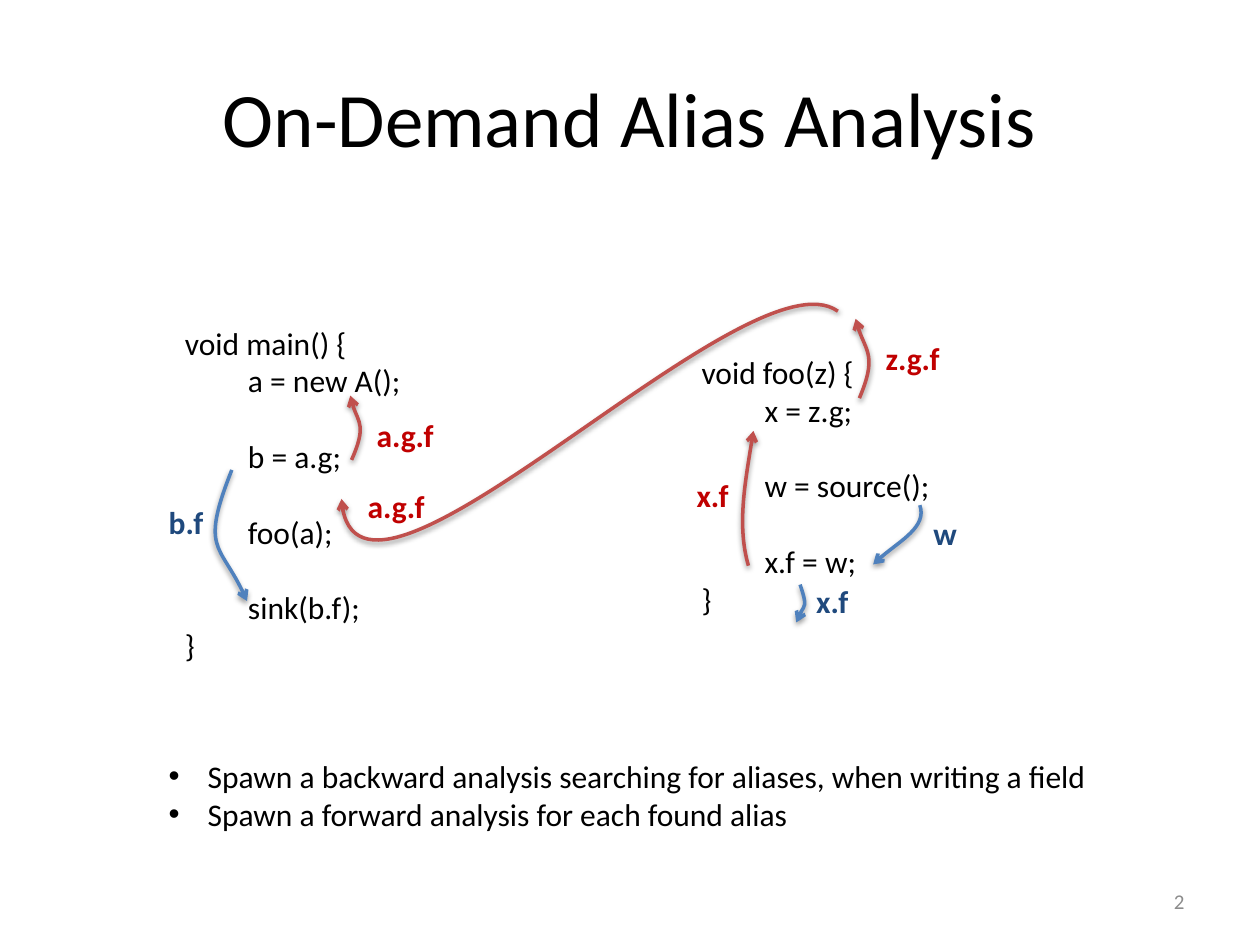
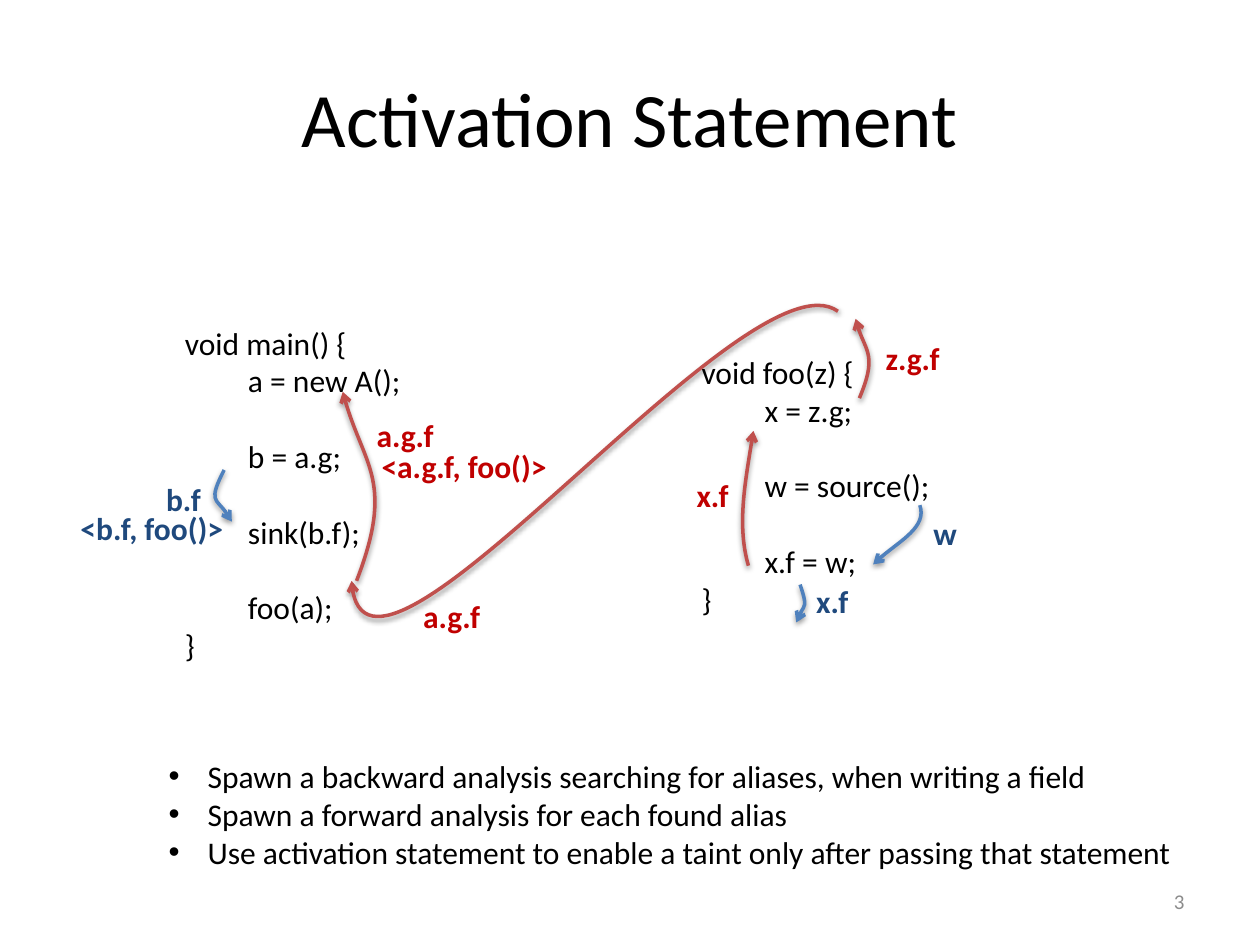
from dataclasses import dataclass
from math import cos, radians, sin

from lxml.etree import SubElement
from pptx import Presentation
from pptx.dml.color import RGBColor
from pptx.enum.text import MSO_ANCHOR, MSO_AUTO_SIZE, PP_ALIGN
from pptx.oxml.ns import qn
from pptx.util import Inches, Pt


@dataclass(frozen=True)
class Theme:
    font: str = "Calibri"
    ink: str = "000000"
    muted: str = "8C8C8C"
    backward_line: str = "C0504D"
    backward_text: str = "C00000"
    forward_line: str = "4F81BD"
    forward_text: str = "1F497D"
    shadow: str = "000000"
    title_size: int = 44
    body_size: int = 18
    number_size: int = 12
    line_height: float = 21.6
    curve_width: int = 2


THEME = Theme()
LINE_COLORS = {"backward": THEME.backward_line, "forward": THEME.forward_line}
TEXT_COLORS = {"backward": THEME.backward_text, "forward": THEME.forward_text}
TURNS = {"backward": 146.3, "forward": 0}

FOO_CODE = ["void foo(z) {", "x = z.g;", "w = source();", "x.f = w;", "}"]
MAIN_BOX = (1.37, 2.52, 1.93, 2.83)
FOO_BOX = (5.47, 2.75, 2.03, 2.22)

SHARED_CURVES = [
    ("forward", [(7.3, 4.01), (7.36, 4.18), (7.08, 4.33), (6.93, 4.48)]),
    ("forward", [(6.35, 4.64), (6.41, 4.82), (6.37, 4.81), (6.32, 4.94)]),
    ("backward", [(5.94, 4.49), (5.85, 4.18), (5.92, 3.79), (5.98, 3.42)]),
    ("backward", [(6.82, 3.16), (6.96, 2.83), (6.85, 2.77), (6.79, 2.53)]),
]
SHARED_LABELS = [
    ("forward", "w", 7.31, 4.03, 0.39),
    ("forward", "x.f", 6.38, 4.57, 0.46),
    ("backward", "x.f", 5.43, 3.73, 0.46),
    ("backward", "z.g.f", 6.93, 2.64, 0.63),
    ("backward", "a.g.f", 2.89, 3.25, 0.66),
]
SHARED_POINTS = [
    "Spawn a backward analysis searching for aliases, when writing a field",
    "Spawn a forward analysis for each found alias",
]

SLIDES = [
    {
        "title": "On-Demand Alias Analysis",
        "number": "2",
        "main": ["void main() {", "a = new A();", "b = a.g;", "foo(a);", "sink(b.f);", "}"],
        "curves": [
            ("backward", [(6.65, 2.47), (5.94, 1.96), (2.8, 5.32), (2.71, 3.96)]),
            ("backward", [(2.79, 3.65), (2.91, 3.38), (2.82, 3.33), (2.78, 3.14)]),
            ("forward", [(1.84, 3.73), (1.59, 4.36), (1.76, 4.31), (1.96, 4.77)]),
        ],
        "labels": [
            ("backward", "a.g.f", 2.82, 3.82, 0.66),
            ("forward", "b.f", 1.24, 3.94, 0.48),
        ],
        "points": [],
        "points_box": (1.24, 5.96, 7.57, 0.71),
    },
    {
        "title": "Activation Statement",
        "number": "3",
        "main": ["void main() {", "a = new A();", "b = a.g;", "sink(b.f);", "foo(a);", "}"],
        "curves": [
            ("backward", [(6.65, 2.47), (5.94, 1.96), (2.87, 5.97), (2.79, 4.61)]),
            ("backward", [(2.83, 4.61), (3.13, 3.83), (2.87, 3.69), (2.72, 3.11)]),
            ("forward", [(1.78, 3.73), (1.65, 3.98), (1.74, 3.96), (1.84, 4.14)]),
        ],
        "labels": [
            ("backward", "a.g.f", 3.26, 4.69, 0.66),
            ("forward", "b.f", 1.22, 3.76, 0.48),
            ("backward", "<a.g.f, foo()>", 2.93, 3.5, 1.53),
            ("forward", "<b.f, foo()>", 0.54, 3.99, 1.35),
        ],
        "points": ["Use activation statement to enable a taint only after passing that statement"],
        "points_box": (1.24, 5.96, 8.2, 1.01),
    },
]


def style_text(frame, size, color, bold=False):
    for para in frame.paragraphs:
        for span in para.runs:
            span.font.name = THEME.font
            span.font.size = Pt(size)
            span.font.bold = bold
            span.font.color.rgb = RGBColor.from_string(color)


def add_text(page, lines, bounds, color=THEME.ink, size=THEME.body_size, bold=False, grow=True):
    box = page.shapes.add_textbox(*map(Inches, bounds))
    frame = box.text_frame
    frame.text = "\n".join(lines)
    frame.word_wrap = not grow
    frame.auto_size = MSO_AUTO_SIZE.SHAPE_TO_FIT_TEXT if grow else MSO_AUTO_SIZE.NONE
    style_text(frame, size, color, bold)
    return frame


def set_indent(para, left, first=0):
    properties = para._p.get_or_add_pPr()
    properties.set("marL", str(Inches(left)))
    properties.set("indent", str(Inches(first)))
    return properties


def add_title(page, text):
    title = page.shapes.title
    title.left, title.top, title.width, title.height = map(Inches, (0.5, 0.3, 9, 1.25))
    frame = title.text_frame
    frame.text = text
    frame.vertical_anchor = MSO_ANCHOR.MIDDLE
    frame.paragraphs[0].alignment = PP_ALIGN.CENTER
    style_text(frame, THEME.title_size, THEME.ink)


def add_number(page, number):
    frame = add_text(page, [number], (7.17, 6.95, 2.33, 0.4), THEME.muted, THEME.number_size, grow=False)
    frame.vertical_anchor = MSO_ANCHOR.MIDDLE
    frame.paragraphs[0].alignment = PP_ALIGN.RIGHT


def add_code(page, lines, bounds):
    statements = add_text(page, lines, bounds).paragraphs[1:-1]
    for index, para in enumerate(statements):
        set_indent(para, 0.5)
        if index:
            para.space_before = Pt(THEME.line_height)


def add_points(page, lines, bounds):
    for para in add_text(page, lines, bounds).paragraphs:
        properties = set_indent(para, 0.31, -0.31)
        SubElement(properties, qn("a:buFont"), typeface="Arial")
        SubElement(properties, qn("a:buChar"), char="•")


def rotate(point, degrees):
    x, y = point
    angle = radians(degrees)
    return x * cos(angle) - y * sin(angle), x * sin(angle) + y * cos(angle)


def curve_point(controls, t):
    weights = ((1 - t) ** 3, 3 * t * (1 - t) ** 2, 3 * t * t * (1 - t), t ** 3)
    return tuple(
        Inches(sum(weight * value for weight, value in zip(weights, axis)))
        for axis in zip(*controls)
    )


def add_curve(page, direction, controls, steps=24):
    turn = TURNS[direction]
    controls = [rotate(point, -turn) for point in controls]
    samples = [curve_point(controls, step / steps) for step in range(steps + 1)]
    builder = page.shapes.build_freeform(*samples[0], scale=1.0)
    builder.add_line_segments(samples[1:], close=False)
    curve = builder.convert_to_shape()
    properties = curve._element.spPr

    outline = next(properties.iter(qn("a:path")))
    for segment in outline.findall(qn("a:lnTo")):
        outline.remove(segment)
    bezier = SubElement(outline, qn("a:cubicBezTo"))
    for x, y in controls[1:]:
        SubElement(bezier, qn("a:pt"), x=str(Inches(x) - curve.left), y=str(Inches(y) - curve.top))

    half_width, half_height = curve.width / 2, curve.height / 2
    center_x, center_y = rotate((curve.left + half_width, curve.top + half_height), turn)
    curve.left, curve.top = round(center_x - half_width), round(center_y - half_height)
    curve.rotation = turn

    curve.fill.background()
    curve.line.color.rgb = RGBColor.from_string(LINE_COLORS[direction])
    curve.line.width = Pt(THEME.curve_width)
    SubElement(properties.find(qn("a:ln")), qn("a:tailEnd"), type="arrow")

    curve.shadow.inherit = False
    shadow = SubElement(
        properties.find(qn("a:effectLst")), qn("a:outerShdw"),
        blurRad=str(Pt(3.1)), dist=str(Pt(1.6)), dir="5400000", rotWithShape="0",
    )
    color = SubElement(shadow, qn("a:srgbClr"), val=THEME.shadow)
    SubElement(color, qn("a:alpha"), val="38000")


def add_analysis(deck, content):
    page = deck.slides.add_slide(deck.slide_layouts[5])
    add_title(page, content["title"])
    add_number(page, content["number"])
    add_code(page, content["main"], MAIN_BOX)
    add_code(page, FOO_CODE, FOO_BOX)
    for direction, controls in SHARED_CURVES + content["curves"]:
        add_curve(page, direction, controls)
    for direction, text, left, top, width in SHARED_LABELS + content["labels"]:
        add_text(page, [text], (left, top, width, 0.4), TEXT_COLORS[direction], bold=True)
    add_points(page, SHARED_POINTS + content["points"], content["points_box"])


def main():
    deck = Presentation()
    deck.slide_width, deck.slide_height = Inches(10), Inches(7.5)
    for content in SLIDES:
        add_analysis(deck, content)
    deck.save("out.pptx")


if __name__ == "__main__":
    main()
